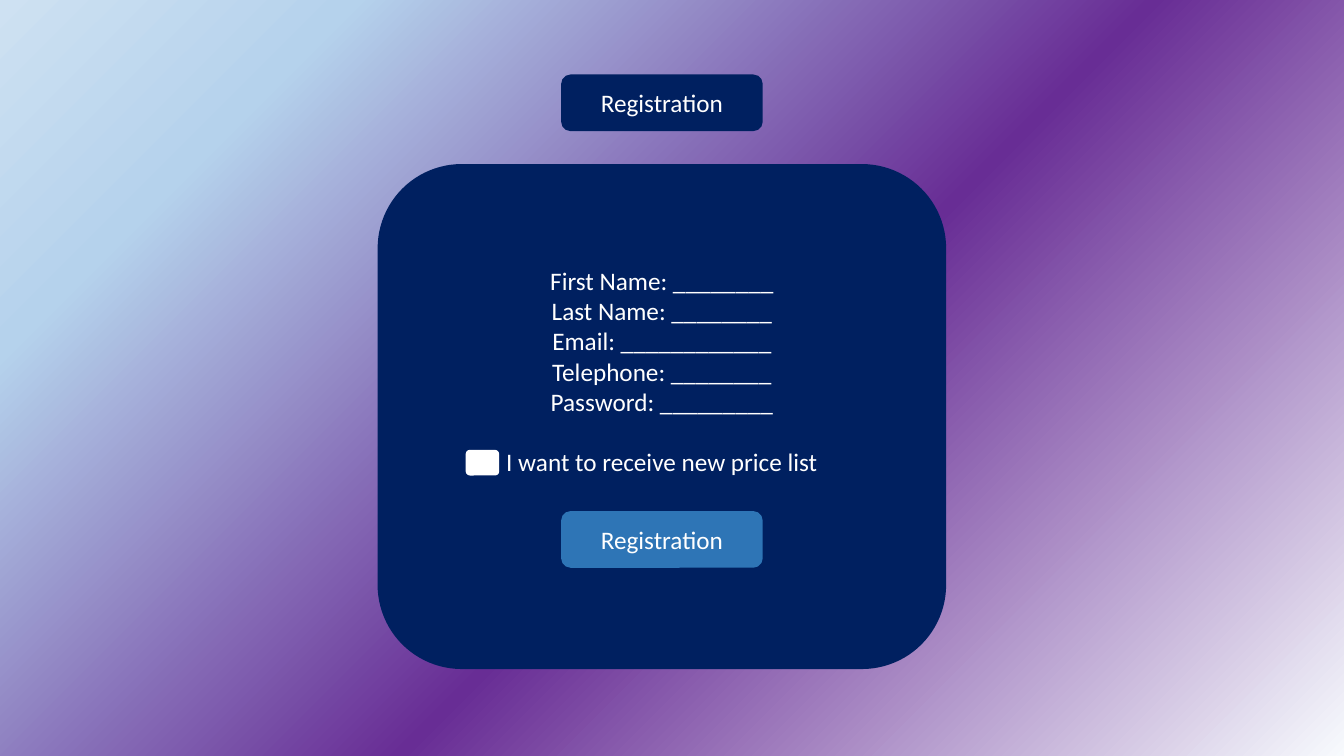
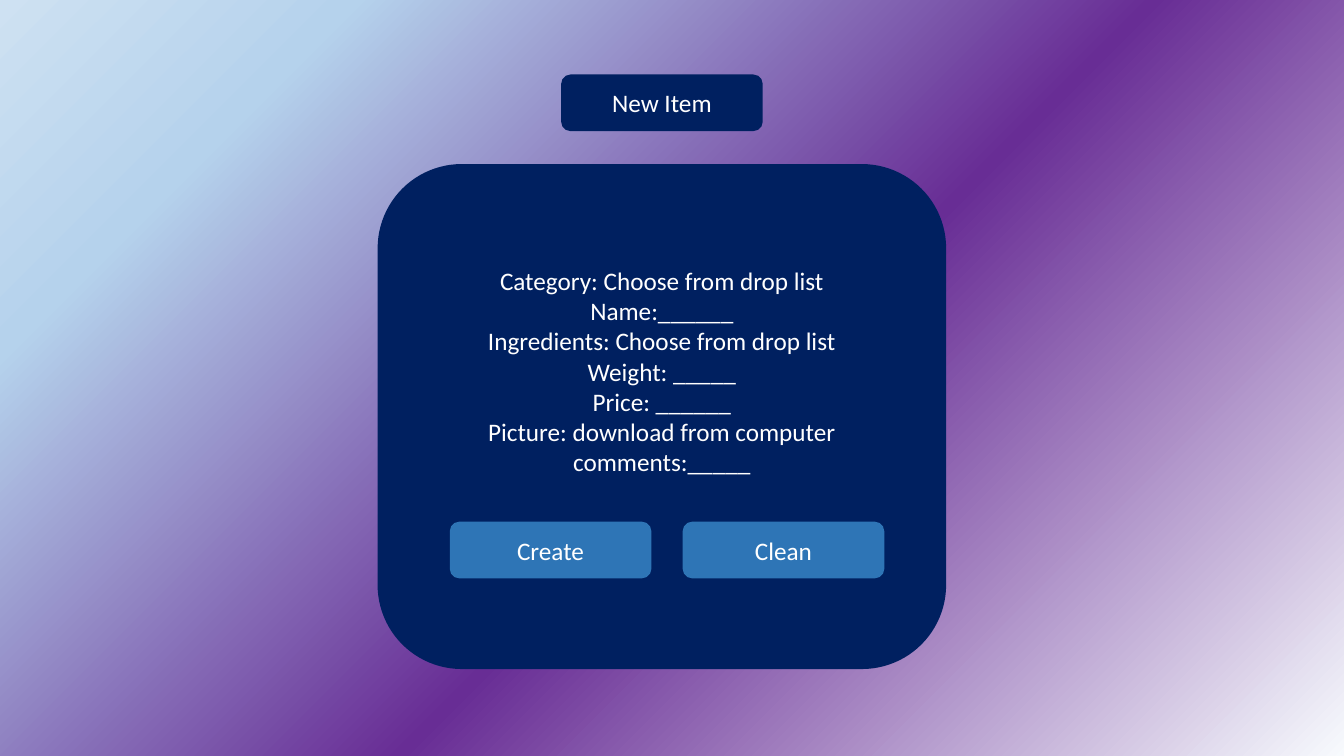
from lxml import etree
from pptx import Presentation
from pptx.dml.color import RGBColor
from pptx.enum.shapes import MSO_SHAPE
from pptx.enum.text import MSO_ANCHOR, PP_ALIGN
from pptx.oxml.ns import qn
from pptx.util import Inches, Pt

ROUNDED = MSO_SHAPE.ROUNDED_RECTANGLE
MIDDLE = MSO_ANCHOR.MIDDLE
CENTER = PP_ALIGN.CENTER

NAVY, BLUE, WHITE = "002060", "2E75B6", "FFFFFF"
GRADIENT = [(0, "F7FAFD", 100), (45, "682D95", 68), (83, "B5D2EC", 100), (100, "CEE1F2", 100)]
FONT, TEXT_SIZE, LINE_HEIGHT = "Calibri", Pt(18), Pt(21.6)
AXIS = 49.25
BUTTON_WIDTH, BUTTON_HEIGHT = 15, 7.5
BUTTON_PITCH = 17.33


def color(hex_string):
    """Turn a hex string into a colour."""
    return RGBColor.from_string(hex_string)


class FormDeck:
    """Form slides in one style; lengths are percentages of the slide's size."""

    def __init__(self):
        """Start an empty widescreen presentation."""
        self.presentation = Presentation()
        self.presentation.slide_width = Inches(13.33)
        self.presentation.slide_height = Inches(7.5)
        self.slide = None

    def add_slide(self, title):
        """Add a slide with the gradient background and its title."""
        self.slide = self.presentation.slides.add_slide(self.presentation.slide_layouts[6])
        self.paint_background()
        self.button(title, AXIS, 9.85, NAVY)

    def paint_background(self):
        """Spread the gradient from the bottom right corner."""
        fill = self.slide.background.fill
        fill.gradient()
        gradient = self.slide.element.find(".//" + qn("a:gradFill"))
        for child in list(gradient):
            gradient.remove(child)
        stops = etree.SubElement(gradient, qn("a:gsLst"))
        for position, hex_string, opacity in GRADIENT:
            stop = etree.SubElement(stops, qn("a:gs"), pos=str(position * 1000))
            tone = etree.SubElement(stop, qn("a:srgbClr"), val=hex_string)
            if opacity < 100:
                etree.SubElement(tone, qn("a:alpha"), val=str(opacity * 1000))
        circle = etree.SubElement(gradient, qn("a:path"), path="circle")
        etree.SubElement(circle, qn("a:fillToRect"), l="100000", t="100000")

    def box(self, left, top, width, height, fill):
        """Add a plain rounded box."""
        across = self.presentation.slide_width / 100
        down = self.presentation.slide_height / 100
        shape = self.slide.shapes.add_shape(
            ROUNDED, round(left * across), round(top * down),
            round(width * across), round(height * down))
        shape.shadow.inherit = False
        shape.fill.solid()
        shape.fill.fore_color.rgb = color(fill)
        shape.line.fill.background()
        return shape

    def add_lines(self, shape, lines):
        """Put centred lines into a shape and return their paragraphs."""
        frame = shape.text_frame
        frame.word_wrap = True
        frame.vertical_anchor = MIDDLE
        for index, line in enumerate(lines):
            paragraph = frame.add_paragraph() if index else frame.paragraphs[0]
            paragraph.alignment = CENTER
            run = paragraph.add_run()
            run.text = line
            run.font.name = FONT
            run.font.size = TEXT_SIZE
            run.font.color.rgb = color(WHITE)
        return frame.paragraphs

    def button(self, label, center, top, fill=BLUE):
        """Add a labelled button around a vertical axis."""
        shape = self.box(center - BUTTON_WIDTH / 2, top, BUTTON_WIDTH, BUTTON_HEIGHT, fill)
        self.add_lines(shape, [label])

    def button_row(self, labels, center, top):
        """Add evenly spaced buttons around a vertical axis."""
        first = center - BUTTON_PITCH * (len(labels) - 1) / 2
        for index, label in enumerate(labels):
            self.button(label, first + index * BUTTON_PITCH, top)

    def panel(self, fields):
        """Add the form panel, leaving three lines free for the buttons."""
        width = 42.3
        shape = self.box(AXIS - width / 2, 21.7, width, 66.8, NAVY)
        shape.text_frame.margin_bottom = Inches(0.05) + 3 * LINE_HEIGHT
        return self.add_lines(shape, fields)

    def checkbox(self, left, top):
        """Add an empty checkbox."""
        self.box(left, top, 2.5, 3.4, WHITE)


def main():
    """Build both form slides."""
    deck = FormDeck()

    deck.add_slide("Registration")
    fields = deck.panel([
        "First Name: ________",
        "Last Name: ________",
        "Email: ____________",
        "Telephone: ________",
        "Password: _________",
        "I want to receive new price list",
    ])
    fields[-1].space_before = LINE_HEIGHT
    deck.button_row(["Registration"], AXIS, 67.6)
    deck.checkbox(34.65, 59.5)

    deck.add_slide("New Item")
    deck.panel([
        "Category: Choose from drop list",
        "Name:______",
        "Ingredients: Choose from drop list",
        "Weight: _____",
        "Price: ______",
        "Picture: download from computer",
        "comments:_____",
    ])
    deck.button_row(["Create", "Clean"], 49.63, 69)

    deck.presentation.save("out.pptx")


if __name__ == "__main__":
    main()
